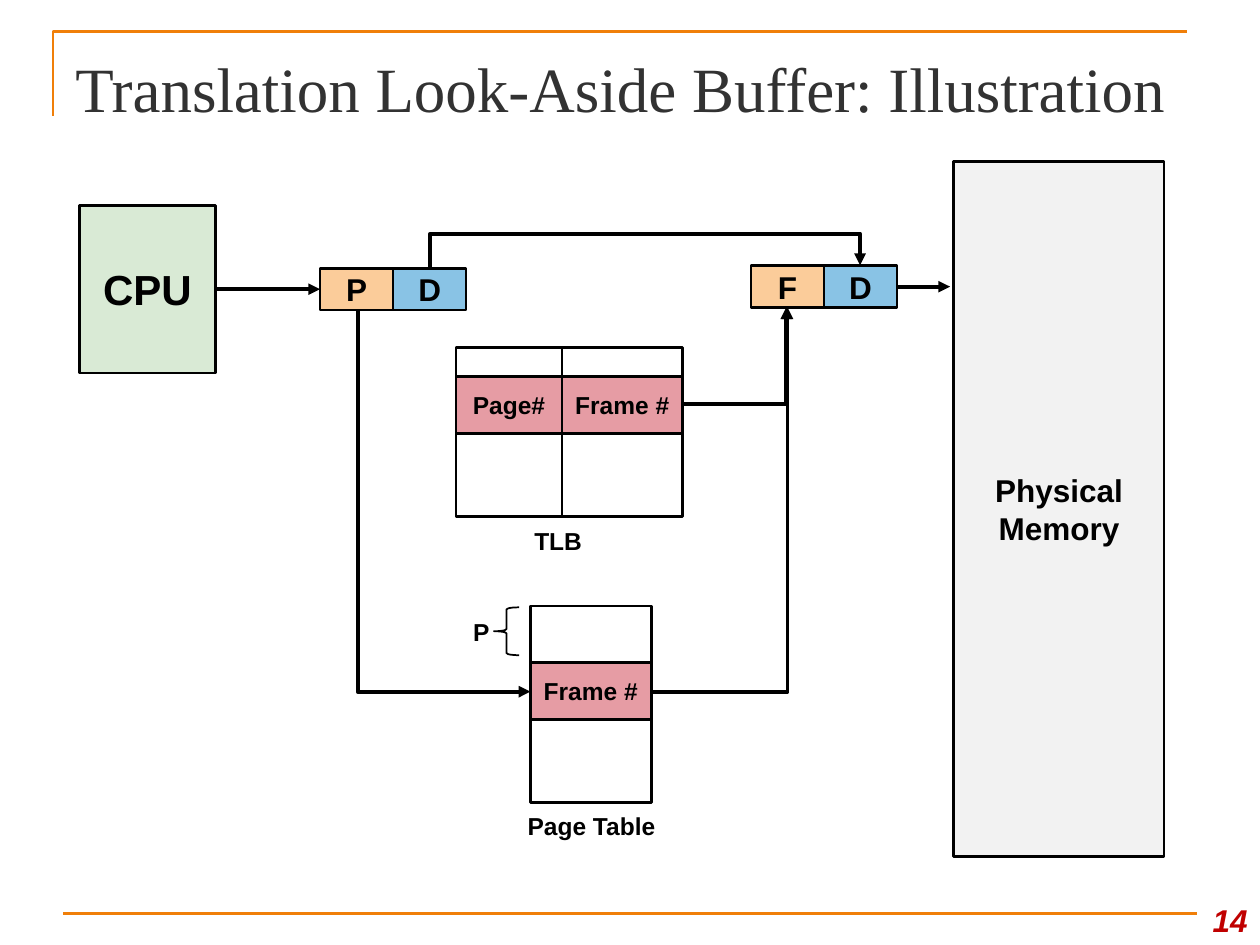
from pptx import Presentation
from pptx.dml.color import RGBColor
from pptx.enum.shapes import MSO_CONNECTOR as CONN, MSO_SHAPE as SHAPE
from pptx.enum.text import MSO_ANCHOR as ANCHOR, PP_ALIGN as ALIGN
from pptx.oxml.ns import qn
from pptx.util import Inches, Pt
from lxml.etree import SubElement

C = {"accent": "F07F09", "title": "323232", "number": "C00000", "black": "000000",
     "white": "FFFFFF", "cpu": "D9EAD5", "memory": "F2F2F2", "page": "FBCC9A",
     "offset": "89C3E5", "entry": "E69CA4"}

TITLE = "Translation Look-Aside Buffer: Illustration"
CELL_W, CELL_H = 0.58, 0.33      # one field of an address
ENTRY_H = 0.45
TLB_TOP, TLB_H, TLB_ENTRY = 2.76, 1.34, 2.99
FRAME_W = 0.96
TABLE_LEFT = 4.21

# name: (left, top, width, height, fill, text, size)
BOXES = {
    "cpu": (0.63, 1.63, 1.08, 1.33, "cpu", "CPU", 24),
    "memory": (7.57, 1.28, 1.67, 5.52, "memory", "Physical Memory", 18),
    "page table": (TABLE_LEFT, 4.81, FRAME_W, 1.56, "white", "", 14),
    "table entry": (TABLE_LEFT, 5.26, FRAME_W, ENTRY_H, "entry", "Frame #", 14),
}
# name: (left, top, first field); the second field is always the offset D
ADDRESSES = {"virtual": (2.54, 2.13, "P"), "physical": (5.96, 2.11, "F")}
# (left, width, heading) of each TLB column
TLB_COLUMNS = [(3.62, 0.84, "Page#"), (4.46, FRAME_W, "Frame #")]
# (left, top, width, height, text)
CAPTIONS = [
    (3.88, 4.05, 1.1, 0.49, "TLB"),
    (3.98, 6.31, 1.43, 0.49, "Page Table"),
    (3.53, 4.76, 0.58, 0.51, "P"),
]
# (left, top, width, height before turning, preset, rotation, flips, adjustment)
ELBOWS = [
    (5.11, 0.41, 0.02, 3.41, "bentConnector3", 90, "HV", 13.5),
    (5.42, 2.44, 0.82, 0.77, "bentConnector2", 0, "V", None),
    (5.17, 2.44, 1.08, 3.05, "bentConnector2", 0, "V", None),
    (2.01, 3.29, 3.03, 1.37, "bentConnector2", 270, "H", None),
]


def rgb(name):
    return RGBColor.from_string(C[name])


def set_line(s, color, width):
    s.line.color.rgb = rgb(color)
    s.line.width = Pt(width)


def write(s, text, size, color="black", font="Arial", bold=True, italic=False,
          align=ALIGN.CENTER, anchor=ANCHOR.MIDDLE, margin=0):
    tf = s.text_frame
    tf.word_wrap = True
    tf.vertical_anchor = anchor
    tf.margin_left = tf.margin_right = Inches(margin)
    p = tf.paragraphs[0]
    p.alignment = align
    r = p.add_run()
    r.text = text
    r.font.name, r.font.size = font, Pt(size)
    r.font.bold, r.font.italic = bold, italic
    r.font.color.rgb = rgb(color)


def add_label(shapes, at, text, size, **style):
    write(shapes.add_textbox(*map(Inches, at)), text, size, **style)


def add_box(shapes, left, top, width, height, fill, text="", size=14):
    s = shapes.add_shape(SHAPE.RECTANGLE, *map(Inches, (left, top, width, height)))
    s.shadow.inherit = False
    s.fill.solid()
    s.fill.fore_color.rgb = rgb(fill)
    set_line(s, "black", 1.5)
    if text:
        write(s, text, size)
    return s


def add_line(shapes, kind, x1, y1, x2, y2, color="black", width=2.25, arrow=True):
    s = shapes.add_connector(kind, *map(Inches, (x1, y1, x2, y2)))
    set_line(s, color, width)
    if arrow:
        SubElement(s.line._get_or_add_ln(), qn("a:tailEnd"), type="triangle")
    SubElement(s._element.spPr, qn("a:effectLst"))
    return s


def add_elbow(shapes, left, top, width, height, preset, rotation, flips, adjustment):
    s = add_line(shapes, CONN.ELBOW, left, top, left + width, top + height)
    spPr = s._element.spPr
    xfrm = spPr.find(qn("a:xfrm"))
    xfrm.set("rot", str(rotation * 60000))
    for axis in flips:
        xfrm.set("flip" + axis, "1")
    geom = spPr.find(qn("a:prstGeom"))
    geom.set("prst", preset)
    if adjustment is not None:
        SubElement(geom.find(qn("a:avLst")), qn("a:gd"), name="adj1",
                   fmla=f"val {round(adjustment * 100000)}")


def add_frame(shapes):
    """Corner rule, footer rule, title and slide number."""
    corner = shapes.build_freeform(Inches(0.42), Inches(0.92))
    corner.add_line_segments([(Inches(0.42), Inches(0.25)),
                              (Inches(9.42), Inches(0.25))], close=False)
    s = corner.convert_to_shape()
    s.shadow.inherit = False
    s.fill.background()
    set_line(s, "accent", 1.5)
    add_line(shapes, CONN.STRAIGHT, 0.5, 7.25, 9.5, 7.25, "accent", 1.5, arrow=False)
    add_label(shapes, (0.5, 0.3, 9, 0.78), TITLE, 36, color="title",
              font="Times New Roman", bold=False, align=ALIGN.LEFT, margin=0.1)
    add_label(shapes, (9.42, 7, 0.58, 0.5), "14", 18, color="number", italic=True,
              align=ALIGN.RIGHT, anchor=ANCHOR.BOTTOM, margin=0.1)


def main():
    prs = Presentation()
    prs.slide_width, prs.slide_height = Inches(10), Inches(7.5)
    shapes = prs.slides.add_slide(prs.slide_layouts[6]).shapes
    add_frame(shapes)

    boxes = {name: add_box(shapes, *box) for name, box in BOXES.items()}
    for name, (left, top, first) in ADDRESSES.items():
        fields = [(first, "page"), ("D", "offset")]
        boxes[name] = [
            add_box(shapes, left + i * CELL_W, top, CELL_W, CELL_H, fill, text, 18)
            for i, (text, fill) in enumerate(fields)]
    for left, width, _ in TLB_COLUMNS:
        add_box(shapes, left, TLB_TOP, width, TLB_H, "white")
    for left, width, heading in TLB_COLUMNS:
        add_box(shapes, left, TLB_ENTRY, width, ENTRY_H, "entry", heading)

    for *at, text in CAPTIONS:
        add_label(shapes, at, text, 14)
    brace = shapes.add_shape(SHAPE.LEFT_BRACE, *map(Inches, (3.92, 4.82, 0.2, 0.38)))
    brace.shadow.inherit = False
    brace.fill.background()
    set_line(brace, "black", 1)

    s = add_line(shapes, CONN.STRAIGHT, 1.71, 2.29, 2.54, 2.29)
    s.begin_connect(boxes["cpu"], 3)
    s.end_connect(boxes["virtual"][0], 1)
    s = add_line(shapes, CONN.STRAIGHT, 7.12, 2.27, 7.54, 2.27)
    s.begin_connect(boxes["physical"][1], 3)
    s.end_y = s.begin_y
    for elbow in ELBOWS:
        add_elbow(shapes, *elbow)

    prs.save("out.pptx")


if __name__ == "__main__":
    main()
